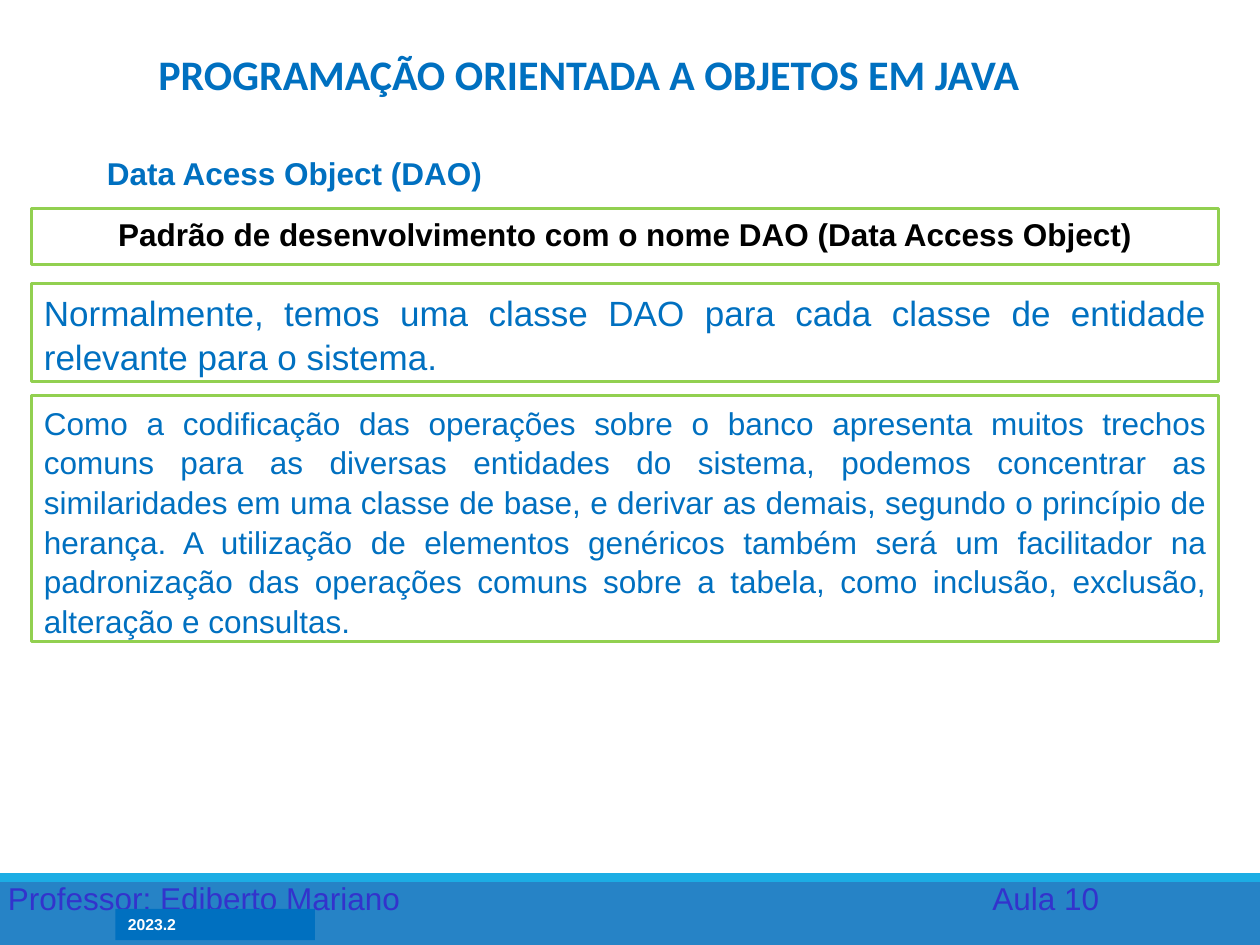
from pptx import Presentation
from pptx.dml.color import RGBColor
from pptx.enum.shapes import MSO_SHAPE as Shape
from pptx.enum.text import MSO_ANCHOR as Anchor, PP_ALIGN as Align
from pptx.oxml.ns import qn
from pptx.util import Pt
from lxml.etree import SubElement

WHITE = RGBColor(0xFF, 0xFF, 0xFF)
BLACK = RGBColor(0, 0, 0)
BLUE = RGBColor(0x00, 0x70, 0xC0)
GREEN = RGBColor(0x92, 0xD0, 0x50)
BAND = RGBColor(0x26, 0x83, 0xC6)
STRIPE = RGBColor(0x1C, 0xAD, 0xE4)
VIOLET = RGBColor(0x33, 0x33, 0xCC)


class LessonPage:
    """Style and drawing methods for one lesson page."""

    def __init__(self, page):
        self.page = page
        self.font = "Arial"

    def bar(self, left, top, width, height, fill, line=None, weight=1.75):
        box = self.page.shapes.add_shape(
            Shape.RECTANGLE, Pt(left), Pt(top), Pt(width), Pt(height))
        box.shadow.inherit = False
        box.fill.solid()
        box.fill.fore_color.rgb = fill
        if line is None:
            box.line.fill.background()
        else:
            box.line.color.rgb = line
            box.line.width = Pt(weight)
        return box

    def label(self, left, top, width, height):
        return self.page.shapes.add_textbox(Pt(left), Pt(top), Pt(width), Pt(height))

    def put_text(self, box, text, size, color, bold=False, align=Align.LEFT,
                 anchor=Anchor.TOP, font=None, spacing=None, tab=None):
        frame = box.text_frame
        frame.word_wrap = True
        frame.vertical_anchor = anchor
        para = frame.paragraphs[0]
        para.alignment = align
        if spacing:
            para.line_spacing = spacing
        if tab:
            stops = SubElement(para._p.get_or_add_pPr(), qn("a:tabLst"))
            SubElement(stops, qn("a:tab"), pos=str(Pt(tab)), algn="l")
        span = para.add_run()
        span.text = text
        span.font.name = font or self.font
        span.font.size = Pt(size)
        span.font.bold = bold
        span.font.color.rgb = color

    def panel(self, top, height, text, size, color=BLUE, **style):
        box = self.bar(18, top, 678.5, height, WHITE, GREEN)
        self.put_text(box, text, size, color, **style)


def main():
    deck = Presentation()
    deck.slide_width, deck.slide_height = Pt(720), Pt(540)
    lesson = LessonPage(deck.slides.add_slide(deck.slide_layouts[6]))

    lesson.bar(0, 499, 720, 41, BAND)
    lesson.bar(0, 499, 720, 5, STRIPE)
    lesson.put_text(lesson.label(-2.5, 498.5, 648, 29),
                    "Professor: Ediberto Mariano\tAula 10", 18, VIOLET, tab=562.5)
    lesson.put_text(lesson.bar(66, 519.3, 114, 18, BLUE), "2023.2", 9, WHITE, bold=True)

    lesson.put_text(lesson.label(74, 22.5, 525, 37.5),
                    "PROGRAMAÇÃO ORIENTADA A OBJETOS EM JAVA", 24, BLUE, bold=True,
                    align=Align.CENTER, anchor=Anchor.BOTTOM, font="Calibri")
    heading = lesson.bar(54, 84.5, 624, 29.5, WHITE, WHITE, 0.75)
    lesson.put_text(heading, "Data Acess Object (DAO)", 18, BLUE, bold=True,
                    align=Align.JUSTIFY)

    lesson.panel(119.25, 32, "Padrão de desenvolvimento com o nome DAO (Data Access Object)",
                 18, BLACK, bold=True, align=Align.CENTER)
    lesson.panel(162, 56, "Normalmente, temos uma classe DAO para cada classe de entidade "
                 "relevante para o sistema.", 20, align=Align.JUSTIFY, spacing=1.05)
    lesson.panel(226, 140.5, "Como a codificação das operações sobre o banco apresenta muitos "
                 "trechos comuns para as diversas entidades do sistema, podemos concentrar as "
                 "similaridades em uma classe de base, e derivar as demais, segundo o princípio "
                 "de herança. A utilização de elementos genéricos também será um facilitador na "
                 "padronização das operações comuns sobre a tabela, como inclusão, exclusão, "
                 "alteração e consultas.", 18, align=Align.JUSTIFY, spacing=1.05)
    deck.save("out.pptx")


if __name__ == "__main__":
    main()
